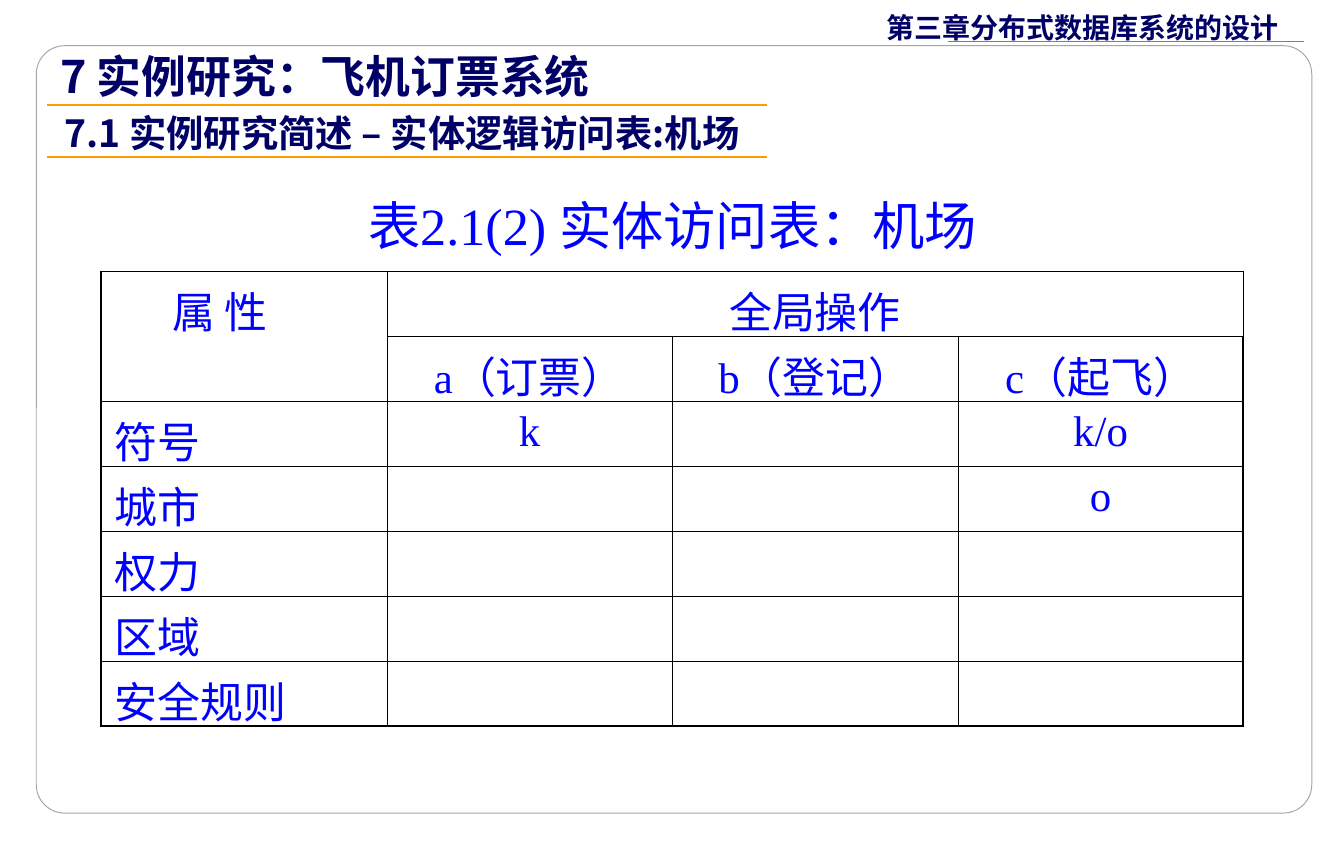
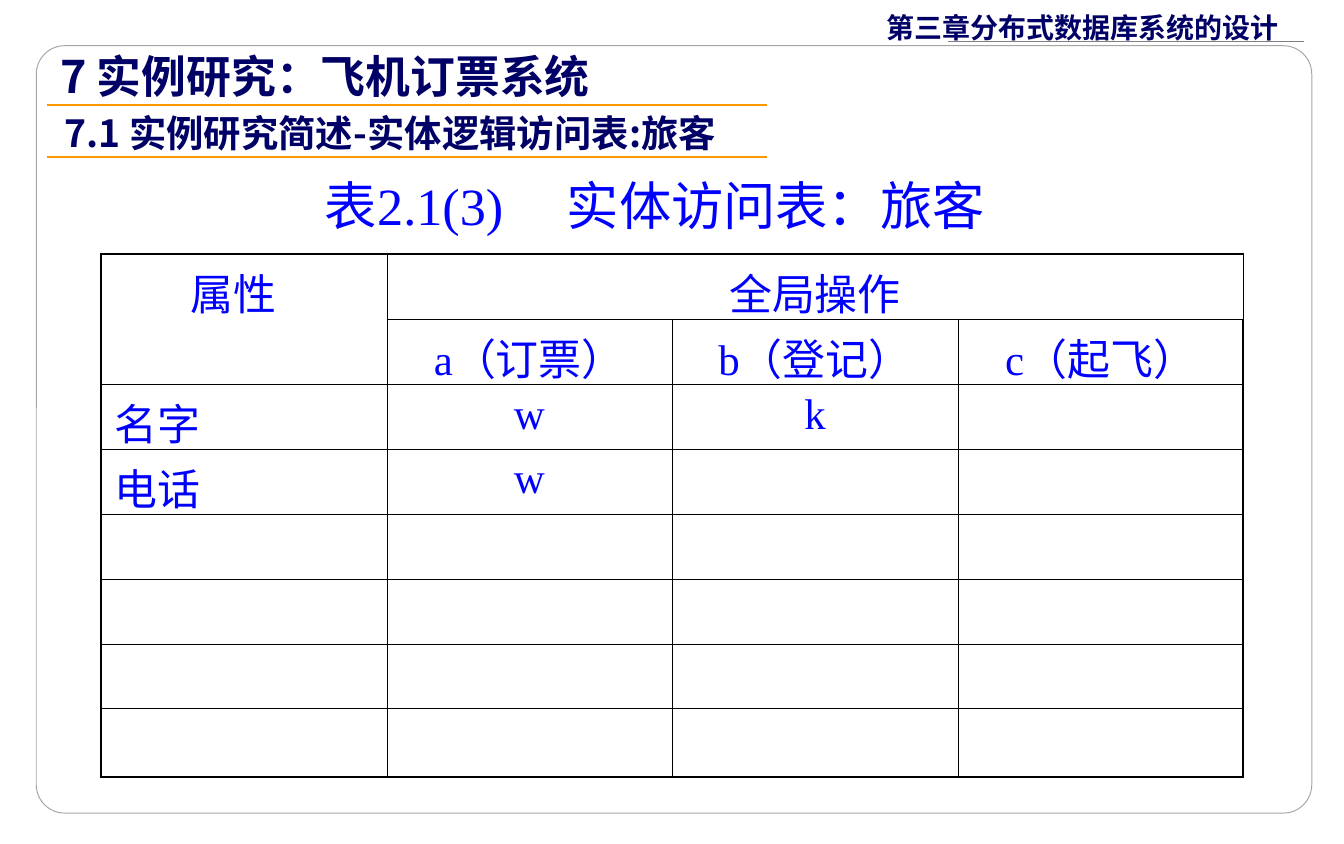
from dataclasses import dataclass
from typing import NamedTuple

from lxml import etree
from pptx import Presentation
from pptx.dml.color import RGBColor
from pptx.enum import shapes, text
from pptx.oxml.ns import qn
from pptx.slide import Slide
from pptx.table import _Cell as Cell
from pptx.text.text import TextFrame
from pptx.util import Inches, Pt


class Style(NamedTuple):
    size: float
    color: str
    face: str
    bold: bool = False


@dataclass(frozen=True)
class Theme:
    navy: str = "000066"
    blue: str = "0000FF"
    orange: str = "FF9900"
    gray: str = "7F7F7F"
    edge: str = "A5A5A5"
    white: str = "FFFFFF"
    black: str = "000000"
    sans: str = "Noto Sans CJK SC"
    serif: str = "Times New Roman"
    thin: float = 0.45
    thick: float = 1.08

    @property
    def chapter(self) -> Style:
        return Style(15, self.navy, self.sans, True)

    @property
    def title(self) -> Style:
        return Style(24, self.navy, self.sans, True)

    @property
    def topic(self) -> Style:
        return Style(20, self.navy, self.sans, True)

    @property
    def caption(self) -> Style:
        return Style(28, self.blue, self.serif)

    @property
    def body(self) -> Style:
        return Style(23, self.blue, self.serif)


THEME = Theme()


class Box(NamedTuple):
    left: float
    top: float
    width: float
    height: float

    def emu(self) -> list[int]:
        return [Inches(v) for v in self]


class Rule(NamedTuple):
    left: float
    right: float
    y: float
    color: str
    width: float


@dataclass(frozen=True)
class Page:
    topic: str
    caption: str
    place: Box
    top: float
    head: str
    indent: float
    rows: list[list[str]]
    last: float = 0.47
    tab: float = 0


RULES = [
    Rule(7.05, 9.7, 0.31, THEME.gray, 0.75),
    Rule(0.35, 5.71, 0.78, THEME.orange, 1),
    Rule(0.35, 5.71, 1.17, THEME.orange, 1),
]
COLS = [2.13, 2.12, 2.13, 2.12]
ROW = 0.47
OPS = ["a（订票）", "b（登记）", "c（起飞）"]
BLANK = [""] * 4
PAGES = [
    Page("7.1 实例研究简述 – 实体逻辑访问表:机场", "表2.1(2) 实体访问表：机场",
         Box(2.64, 1.44, 5.99, 0.52), 2.02, "属 性", 0.43,
         [["符号", "k", "", "k/o"], ["城市", "", "", "o"], ["权力", "", "", ""],
          ["区域", "", "", ""], ["安全规则", "", "", ""]]),
    Page("7.1 实例研究简述-实体逻辑访问表:旅客", "表2.1(3)\t实体访问表：旅客",
         Box(2.32, 1.29, 5.67, 0.52), 1.89, "属性", 0.57,
         [["名字", "w", "k", ""], ["电话", "w", "", ""]] + [BLANK] * 4,
         last=0.51, tab=1.8),
]


def write(frame: TextFrame, words: str, style: Style):
    para = frame.paragraphs[0]
    para.text = words
    font = para.font
    font.size, font.bold, font.name = Pt(style.size), style.bold, style.face
    font.color.rgb = RGBColor.from_string(style.color)
    return para


def label(slide: Slide, box: Box, words: str, style: Style):
    frame = slide.shapes.add_textbox(*box.emu()).text_frame
    frame.word_wrap = True
    return write(frame, words, style)


def rule(slide: Slide, item: Rule) -> None:
    y = Inches(item.y)
    line = slide.shapes.add_connector(
        shapes.MSO_CONNECTOR.STRAIGHT, Inches(item.left), y, Inches(item.right), y)
    line.line.color.rgb = RGBColor.from_string(item.color)
    line.line.width = Pt(item.width)
    etree.SubElement(line._element.spPr, qn("a:effectLst"))


def panel(slide: Slide) -> None:
    shape = slide.shapes.add_shape(
        shapes.MSO_SHAPE.ROUNDED_RECTANGLE, *Box(0.27, 0.34, 9.49, 5.71).emu())
    shape.adjustments[0] = 0.037
    shape.shadow.inherit = False
    shape.fill.solid()
    shape.fill.fore_color.rgb = RGBColor.from_string(THEME.white)
    tint = shape._element.spPr.find(".//" + qn("a:srgbClr"))
    etree.SubElement(tint, qn("a:alpha"), val="85000")
    shape.line.color.rgb = RGBColor.from_string(THEME.edge)
    shape.line.width = Pt(0.5)


def border(cell: Cell, outer: dict[str, bool]) -> None:
    """Rule all four sides, thick where the side is on the table's edge."""
    props = cell._tc.get_or_add_tcPr()
    for spot, (side, edge) in enumerate(outer.items()):
        width = Pt(THEME.thick if edge else THEME.thin)
        line = etree.Element(qn(f"a:ln{side}"), w=str(width))
        fill = etree.SubElement(line, qn("a:solidFill"))
        etree.SubElement(fill, qn("a:srgbClr"), val=THEME.black)
        props.insert(spot, line)


def grid(slide: Slide, page: Page) -> None:
    data = [[page.head, "全局操作", "", ""], ["", *OPS], *page.rows]
    highs = [ROW] * (len(data) - 1) + [page.last]
    box = Box(0.75, page.top, sum(COLS), sum(highs))
    table = slide.shapes.add_table(len(data), len(COLS), *box.emu()).table
    table.first_row = table.horz_banding = False
    for col, width in zip(table.columns, COLS):
        col.width = Inches(width)
    for row, high in zip(table.rows, highs):
        row.height = Inches(high)
    table.cell(0, 0).merge(table.cell(1, 0))
    table.cell(0, 1).merge(table.cell(0, 3))
    for r, line in enumerate(data):
        for c, words in enumerate(line):
            cell = table.cell(r, c)
            cell.fill.background()
            border(cell, {"L": c == 0, "R": c == len(COLS) - 1,
                          "T": r == 0, "B": r == len(data) - 1})
            para = write(cell.text_frame, words, THEME.body)
            if c:
                para.alignment = text.PP_ALIGN.CENTER
    head = table.cell(0, 0).text_frame.paragraphs[0]
    head._p.get_or_add_pPr().set("marL", str(Inches(page.indent)))


def caption(slide: Slide, page: Page) -> None:
    para = label(slide, page.place, page.caption, THEME.caption)
    para.line_spacing = 0.9
    if page.tab:
        stops = etree.Element(qn("a:tabLst"))
        etree.SubElement(stops, qn("a:tab"), pos=str(Inches(page.tab)), algn="l")
        para._p.pPr.find(qn("a:defRPr")).addprevious(stops)


def build(slide: Slide, page: Page) -> None:
    panel(slide)
    label(slide, Box(6.5, 0.03, 3.15, 0.34), "第三章分布式数据库系统的设计", THEME.chapter)
    grid(slide, page)
    caption(slide, page)
    for item in RULES:
        rule(slide, item)
    label(slide, Box(0.35, 0.31, 5, 0.5), "7 实例研究：飞机订票系统", THEME.title)
    label(slide, Box(0.38, 0.77, 6.35, 0.44), page.topic, THEME.topic)


def main() -> None:
    deck = Presentation()
    deck.slide_width, deck.slide_height = Inches(10), Inches(6.28)
    for page in PAGES:
        build(deck.slides.add_slide(deck.slide_layouts[6]), page)
    deck.save("out.pptx")


if __name__ == "__main__":
    main()
